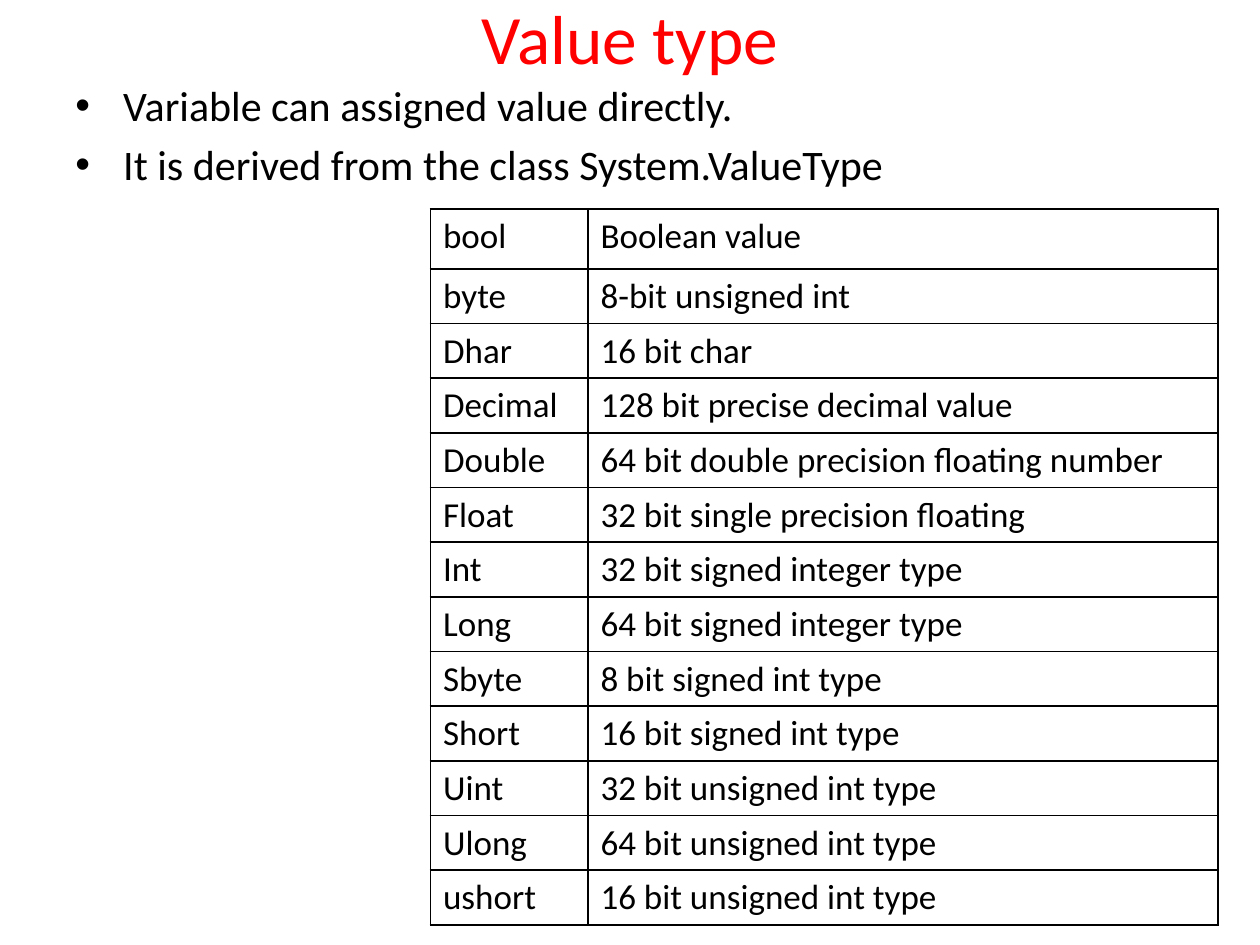
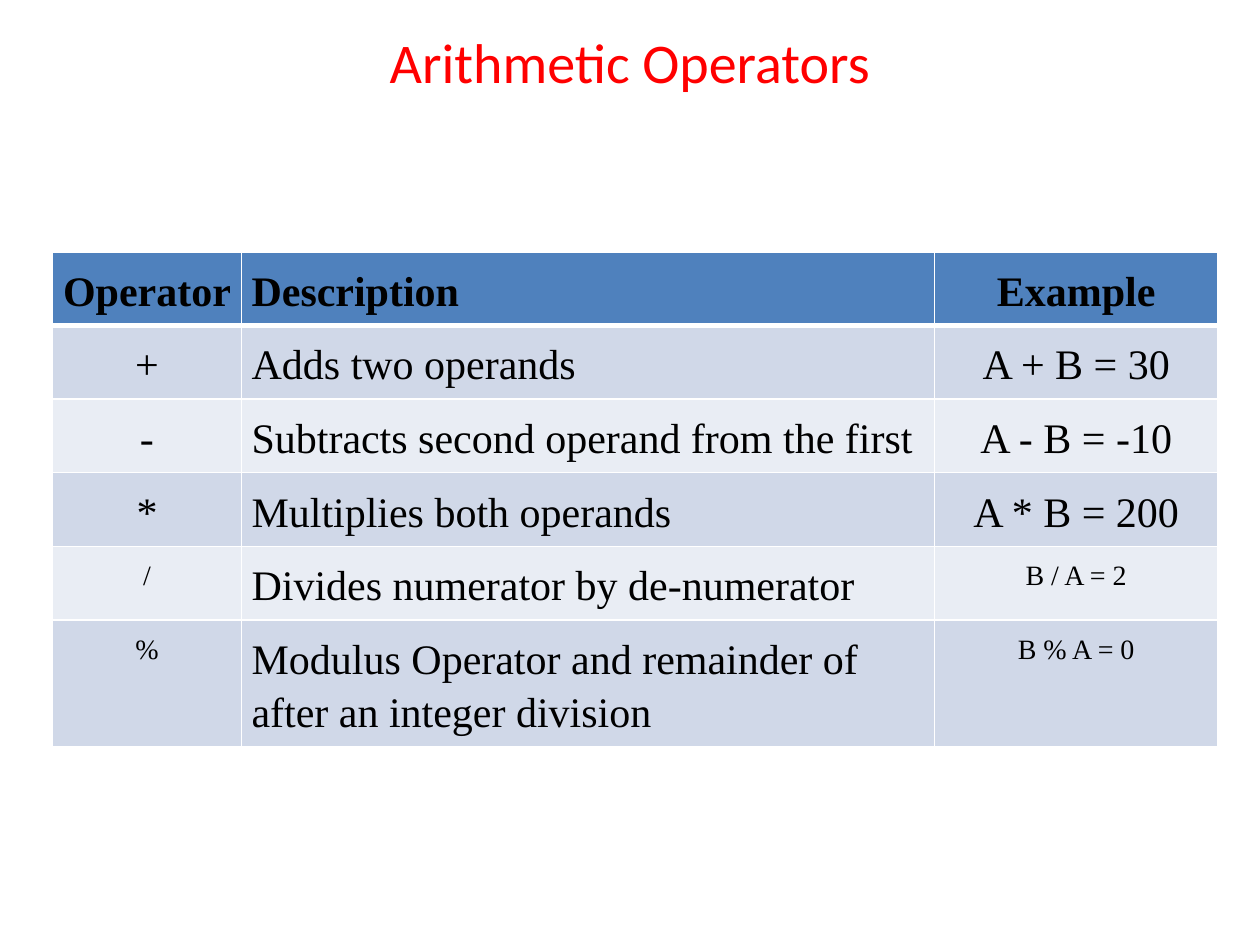
from lxml import etree
from pptx import Presentation
from pptx.dml.color import RGBColor
from pptx.enum.text import MSO_ANCHOR, MSO_AUTO_SIZE, PP_ALIGN
from pptx.oxml.ns import qn
from pptx.util import Inches, Pt

LEFT, CENTER = PP_ALIGN.LEFT, PP_ALIGN.CENTER
TOP, MIDDLE = MSO_ANCHOR.TOP, MSO_ANCHOR.MIDDLE
NO_FIT = MSO_AUTO_SIZE.NONE

RED = RGBColor(0xFF, 0x00, 0x00)
BLACK = RGBColor(0x00, 0x00, 0x00)
WHITE = RGBColor(0xFF, 0xFF, 0xFF)
BLUE = RGBColor(0x4F, 0x81, 0xBD)
PALE = RGBColor(0xD0, 0xD8, 0xE8)
LIGHT = RGBColor(0xE9, 0xED, 0xF4)

SANS, SERIF = "Calibri", "Times New Roman"
WIDE, TALL = 10, 7.5
COLS, ROWS = 120, 90

TYPES = [
    ("bool", "Boolean value"),
    ("byte", "8-bit unsigned int"),
    ("Dhar", "16 bit char"),
    ("Decimal", "128 bit precise decimal value"),
    ("Double", "64 bit double precision floating number"),
    ("Float", "32 bit single precision floating"),
    ("Int", "32 bit signed integer type"),
    ("Long", "64 bit signed integer type"),
    ("Sbyte", "8 bit signed int type"),
    ("Short", "16 bit signed int type"),
    ("Uint", "32 bit unsigned int type"),
    ("Ulong", "64 bit unsigned int type"),
    ("ushort", "16 bit unsigned int type"),
]

MATH = [
    ("Operator", "Description", "Example"),
    ("+", "Adds two operands", "A + B = 30"),
    ("-", "Subtracts second operand from the first", "A - B = -10"),
    ("*", "Multiplies both operands", "A * B = 200"),
    ("/", "Divides numerator by de-numerator", "B / A = 2"),
    ("%", "Modulus Operator and remainder of after an integer division",
     "B % A = 0"),
]


class Deck:
    def __init__(self):
        self.prs = Presentation()
        self.prs.slide_width = Inches(WIDE)
        self.prs.slide_height = Inches(TALL)
        self.slide = None

    def across(self, cols):
        return round(self.prs.slide_width * cols / COLS)

    def down(self, rows):
        return round(self.prs.slide_height * rows / ROWS)

    def box(self, left, top, width, height):
        return (self.across(left), self.down(top),
                self.across(width), self.down(height))

    def style(self, para, size, color=BLACK, face=SANS, bold=False):
        for run in para.runs:
            font = run.font
            font.name, font.size, font.bold = face, Pt(size), bold
            font.color.rgb = color

    def title(self, text, top, height, size, anchor=MIDDLE):
        self.slide = self.prs.slides.add_slide(self.prs.slide_layouts[5])
        head = self.slide.shapes.title
        head.left, head.top, head.width, head.height = self.box(
            6, top, 108, height)
        frame = head.text_frame
        frame.text = text
        frame.auto_size = NO_FIT
        frame.vertical_anchor = anchor
        frame.margin_top = frame.margin_bottom = 0
        para = frame.paragraphs[0]
        para.alignment = CENTER
        self.style(para, size, RED)

    def bullets(self, lines, area, size=24):
        frame = self.slide.shapes.add_textbox(*self.box(*area)).text_frame
        frame.word_wrap = True
        frame.text = "\n".join(lines)
        for para in frame.paragraphs:
            para.space_before = Pt(size * 0.2)
            self.style(para, size)
            props = para._p.get_or_add_pPr()
            props.set("marL", str(Inches(0.38)))
            props.set("indent", str(-Inches(0.38)))
            etree.SubElement(props, qn("a:buFont"), typeface="Arial")
            etree.SubElement(props, qn("a:buChar"), char="•")

    def edges(self, cell, color, top=1, bottom=1):
        props = cell._tc.get_or_add_tcPr()
        for side, width in zip("LRTB", (1, 1, top, bottom)):
            line = etree.SubElement(props, qn(f"a:ln{side}"), w=str(Pt(width)))
            fill = etree.SubElement(line, qn("a:solidFill"))
            etree.SubElement(fill, qn("a:srgbClr"), val=str(color))

    def table(self, data, left, top, widths, heights):
        area = self.box(left, top, sum(widths), sum(heights))
        table = self.slide.shapes.add_table(
            len(data), len(widths), *area).table
        table.first_row = table.horz_banding = False
        for col, width in zip(table.columns, widths):
            col.width = self.across(width)
        for row, height in zip(table.rows, heights):
            row.height = self.down(height)
        for r, texts in enumerate(data):
            for c, text in enumerate(texts):
                cell = table.cell(r, c)
                cell.text_frame.text = text
                yield r, c, cell, cell.text_frame.paragraphs[0]

    def plain(self, data, left, top, widths, heights):
        for r, c, cell, para in self.table(data, left, top, widths, heights):
            self.edges(cell, BLACK)
            self.paint(cell, WHITE)
            self.style(para, 20)

    def banded(self, data, left, top, widths, heights, small):
        for r, c, cell, para in self.table(data, left, top, widths, heights):
            self.edges(cell, WHITE, 3 if r == 1 else 1, 3 if r == 0 else 1)
            self.paint(cell, BLUE if r == 0 else PALE if r % 2 else LIGHT)
            cell.margin_left = cell.margin_right = Inches(0.08)
            cell.margin_top = cell.margin_bottom = Inches(0.08)
            para.alignment = LEFT if c == 1 else CENTER
            para.line_spacing = 1.15
            size = 16 if r in small and c != 1 else 24
            self.style(para, size, face=SERIF, bold=r == 0)

    def paint(self, cell, color):
        cell.fill.solid()
        cell.fill.fore_color.rgb = color


def main():
    deck = Deck()

    deck.title("Value type", 0, 7, 39.6)
    deck.bullets(["Variable can assigned value directly.",
                  "It is derived from the class System.ValueType"],
                 (6, 7, 108, 83))
    deck.plain(TYPES, 41, 19.9, (15, 60), [5.7] + [5] * 12)

    deck.title("Arithmetic Operators", 2.6, 11.4, 32, TOP)
    deck.banded(MATH, 5, 24, (18, 66, 27), [7] * 6, small=(4, 5))

    deck.prs.save("out.pptx")


if __name__ == "__main__":
    main()
